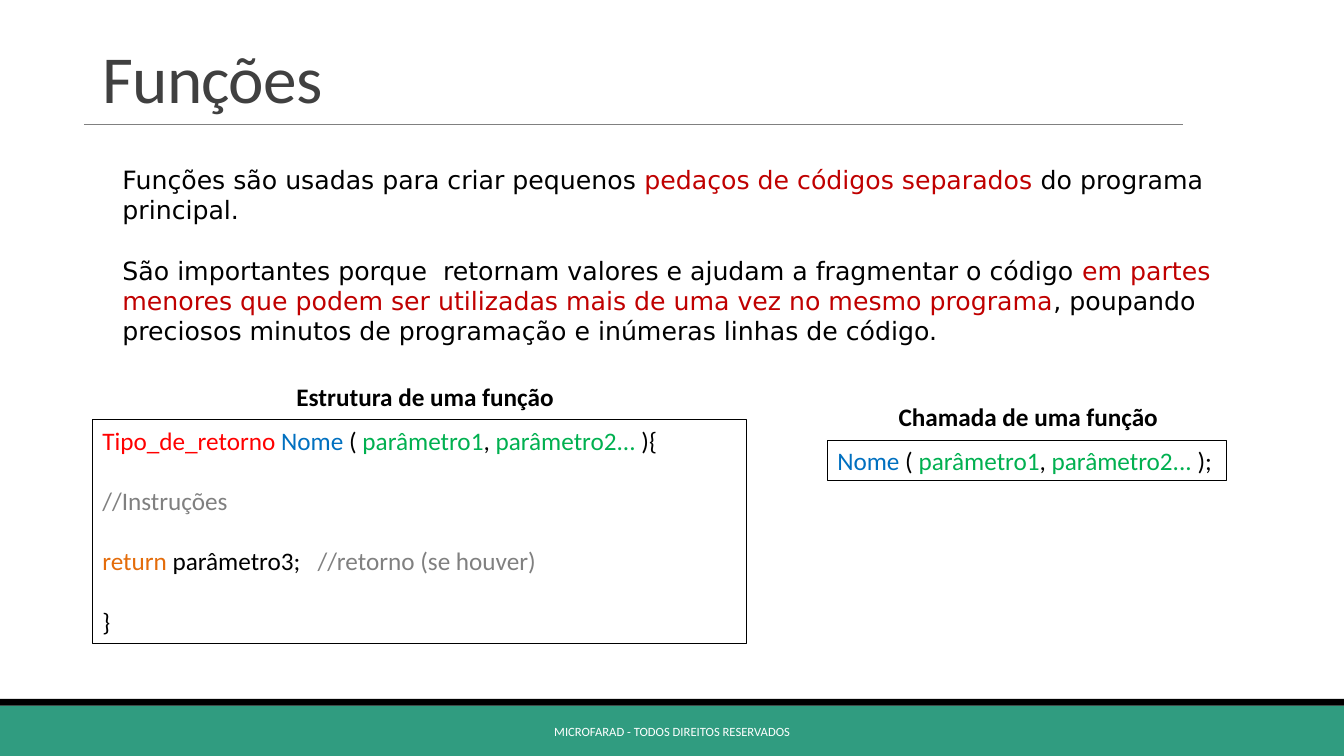
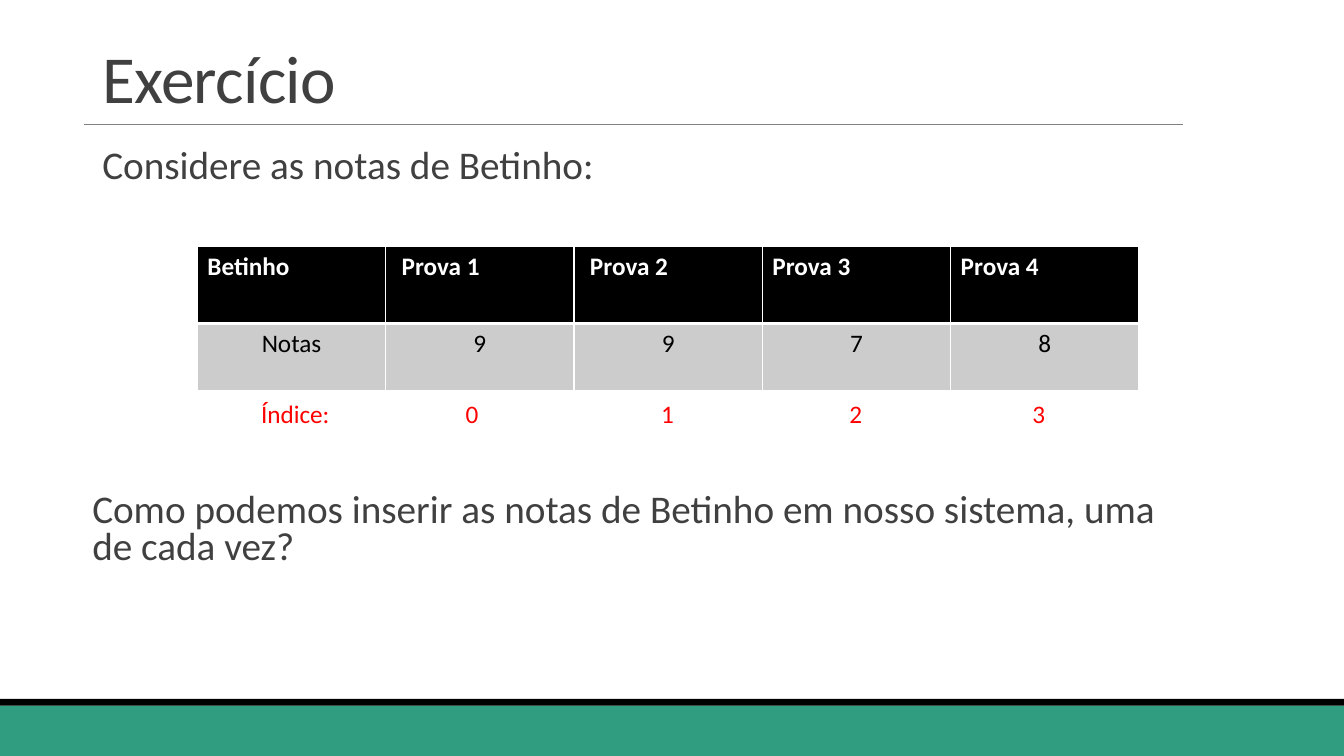
from lxml import etree
from pptx import Presentation
from pptx.dml.color import RGBColor as RGB
from pptx.enum.shapes import MSO_CONNECTOR as CONN, MSO_SHAPE as SHAPE
from pptx.enum.text import MSO_ANCHOR as ANCHOR, MSO_AUTO_SIZE as AUTO, PP_ALIGN as ALIGN
from pptx.oxml import parse_xml
from pptx.oxml.ns import nsdecls, qn
from pptx.util import Inches, Pt

COLORS = {
    "band": "309C80", "black": "000000", "white": "FFFFFF", "gray": "808080",
    "title": "404040", "accent": "C00000", "type": "FF0000", "name": "0070C0",
    "param": "00B050", "keyword": "E46C0A", "cell": "CCCCCC",
}
C = {name: RGB.from_string(value) for name, value in COLORS.items()}

prs = Presentation()
prs.slide_width, prs.slide_height = Inches(13.33), Inches(7.5)
COL, ROW = prs.slide_width / 160, prs.slide_height / 90

BODY = {"name": "Calibri", "size": Pt(18)}
BOLD = {**BODY, "bold": True}
INTRO = {"name": "DejaVu Sans", "size": Pt(18)}
LARGE = {"name": "Calibri", "size": Pt(28)}
SMALL = {"name": "Calibri", "size": Pt(9)}
TITLE = {"name": "Calibri", "size": Pt(48)}


def write(tf, paragraphs, font, color="black", gap=0, **layout):
    for i, runs in enumerate(paragraphs):
        p = tf.paragraphs[0] if i == 0 else tf.add_paragraph()
        if i and gap:
            p.space_before = Pt(gap)
        for key, value in layout.items():
            setattr(p, key, value)
        for text, run_color in [(runs, color)] if isinstance(runs, str) else runs:
            r = p.add_run()
            r.text = text
            for key, value in font.items():
                setattr(r.font, key, value)
            r.font.color.rgb = C[run_color]


def box(s, x, y, w, h, paragraphs, font, **fmt):
    sp = s.shapes.add_textbox(round(x * COL), round(y * ROW), round(w * COL), round(h * ROW))
    sp.text_frame.word_wrap = True
    write(sp.text_frame, paragraphs, font, **fmt)
    return sp


slides = []
for title in ["Funções", "Exercício"]:
    s = prs.slides.add_slide(prs.slide_layouts[5])
    slides.append(s)
    for y, h, color in [(84, 6, "band"), (83.2, 0.8, "black")]:
        sp = s.shapes.add_shape(SHAPE.RECTANGLE, 0, round(y * ROW), prs.slide_width, round(h * ROW))
        sp.shadow.inherit = False
        sp.fill.solid()
        sp.fill.fore_color.rgb = C[color]
        sp.line.fill.background()
    y = round(14.8 * ROW)
    rule = s.shapes.add_connector(CONN.STRAIGHT, round(10 * COL), y, round(140.8 * COL), y)
    rule.line.color.rgb = C["gray"]
    rule.line.width = Pt(0.5)
    etree.SubElement(rule._element.spPr, qn("a:effectLst"))

    sp = s.shapes.title
    sp.left, sp.top = round(11 * COL), round(1.2 * ROW)
    sp.width, sp.height = round(127.4 * COL), round(13.3 * ROW)
    tf = sp.text_frame
    tf.auto_size, tf.vertical_anchor = AUTO.NONE, ANCHOR.BOTTOM
    write(tf, [title], TITLE, "title", alignment=ALIGN.LEFT, line_spacing=0.85)
    tf.paragraphs[0].runs[0]._r.get_or_add_rPr().set("spc", "-50")

functions, exercise = slides

sp = box(functions, 48.4, 84.7, 63.2, 4.8, ["MICROFARAD - TODOS DIREITOS RESERVADOS"],
         SMALL, color="white", alignment=ALIGN.CENTER)
sp.text_frame.vertical_anchor = ANCHOR.MIDDLE

intro = [
    [("Funções são usadas para criar pequenos ", "black"),
     ("pedaços de códigos separados ", "accent"),
     ("do programa principal.", "black")],
    [("São importantes porque  retornam valores e ajudam a fragmentar o código ", "black"),
     ("em partes menores que podem ser utilizadas mais de uma vez no mesmo programa", "accent"),
     (", poupando preciosos minutos de programação e inúmeras linhas de código.", "black")],
]
box(functions, 13.4, 19, 133.8, 23, intro, INTRO, gap=21.5)

signature = [("Nome", "name"), (" ( ", "black"), ("parâmetro1", "param"),
             (", ", "black"), ("parâmetro2... ", "param")]
structure = [
    [("Tipo_de_retorno ", "type"), *signature, ("){", "black")],
    [("//Instruções", "gray")],
    [("return ", "keyword"), ("parâmetro3;   ", "black"), ("//retorno (se houver)", "gray")],
    "}",
]
call = [[*signature, (");", "black")]]
for x, y, w, h, code in [(11, 50, 77.9, 26.6, structure), (98.5, 52.4, 47.5, 4.8, call)]:
    sp = box(functions, x, y, w, h, code, BODY, gap=21.5)
    sp.line.color.rgb = C["black"]
    sp.line.width = Pt(0.75)

for x, y, w, label in [(34.1, 44.8, 46, "Estrutura de uma função"),
                       (105.8, 47.2, 33.6, "Chamada de uma função")]:
    box(functions, x, y, w, 4.8, [label], BOLD)

for x, y, h, text in [
    (11, 17.2, 6, "Considere as notas de Betinho:"),
    (9.8, 58.1, 10, "Como podemos inserir as notas de Betinho em nosso sistema, uma de cada vez?"),
]:
    box(exercise, x, y, 132, h, [text], LARGE, color="title", line_spacing=0.8)

grades = [["Betinho", "Prova 1", "Prova 2", "Prova 3", "Prova 4"], ["Notas", "9", "9", "7", "8"]]
row_styles = [
    {"height": 9.2, "fill": "black", "color": "white", "font": BOLD, "align": ALIGN.LEFT, "bottom": 3},
    {"height": 8, "fill": "cell", "color": "black", "font": BODY, "align": ALIGN.CENTER, "bottom": 1},
]
table = exercise.shapes.add_table(2, 5, round(23.5 * COL), round(29.3 * ROW),
                                  round(112.1 * COL), round(17.2 * ROW)).table
table.first_row = table.horz_banding = False
for column in table.columns:
    column.width = round(112.1 / 5 * COL)
for i, (values, style) in enumerate(zip(grades, row_styles)):
    table.rows[i].height = round(style["height"] * ROW)
    top = row_styles[i - 1]["bottom"] if i else 1
    for j, value in enumerate(values):
        cell = table.cell(i, j)
        for side, width in zip("LRTB", [1, 1, top, style["bottom"]]):
            cell._tc.get_or_add_tcPr().append(parse_xml(
                f'<a:ln{side} {nsdecls("a")} w="{Pt(width)}"><a:solidFill>'
                f'<a:srgbClr val="{COLORS["white"]}"/></a:solidFill></a:ln{side}>'))
        cell.fill.solid()
        cell.fill.fore_color.rgb = C[style["fill"]]
        if i == 0 and j in (1, 2):
            cell.margin_left = round(1.9 * COL)
        write(cell.text_frame, [value], style["font"], style["color"], alignment=style["align"])

sp = box(exercise, 29.9, 46.8, 103, 4.8, [], BODY)
p = sp.text_frame.paragraphs[0]
tabs = etree.SubElement(p._p.get_or_add_pPr(), qn("a:tabLst"))
for stop in [25.1, 48.4, 70.8, 92.6]:
    etree.SubElement(tabs, qn("a:tab"), pos=str(round(stop * COL)), algn="ctr")
write(sp.text_frame, ["Índice:\t0\t1\t2\t3"], BODY, "type")

prs.save("out.pptx")
